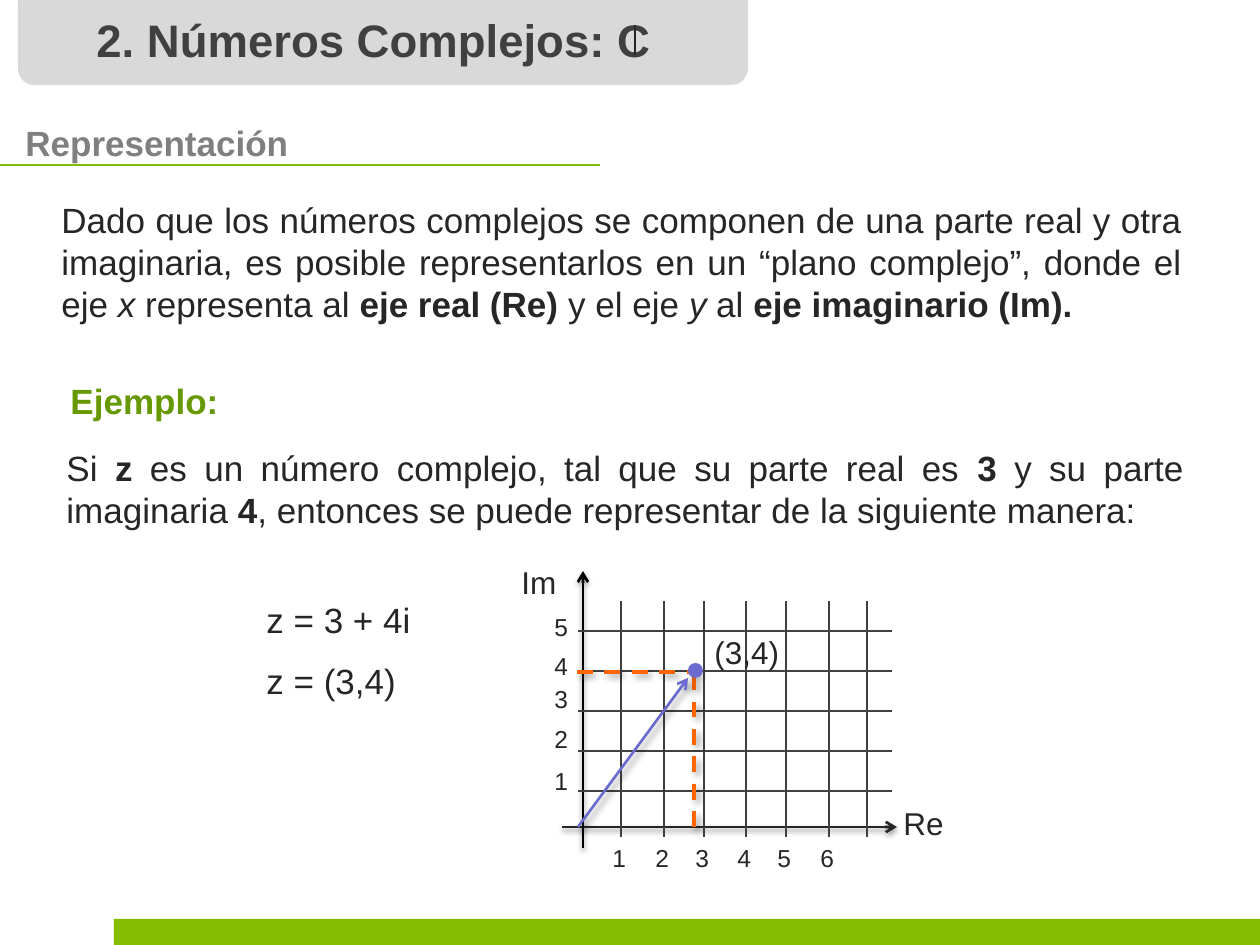
from typing import NamedTuple, Optional

from lxml.etree import SubElement
from pptx import Presentation
from pptx.dml.color import RGBColor
from pptx.enum.dml import MSO_LINE
from pptx.enum.shapes import MSO_CONNECTOR, MSO_SHAPE
from pptx.enum.text import MSO_AUTO_SIZE, PP_ALIGN
from pptx.oxml.ns import qn
from pptx.util import Emu, Pt

SCALE = 914400 / 126
FONT = "Arial"
INK, GRID, GREEN, VIOLET, ORANGE = "262626", "404040", "84BD00", "6B6BCF", "FF6600"


class Run(NamedTuple):
    text: str
    bold: bool = False
    italic: bool = False


class Label(NamedTuple):
    left: int
    top: int
    width: int
    height: int
    runs: list[Run]
    size: int = 20
    color: str = INK
    align: PP_ALIGN = PP_ALIGN.LEFT
    wrap: bool = True


class Shadow(NamedTuple):
    alpha: int
    blur: float
    dist: float
    angle: int


class Line(NamedTuple):
    x1: int
    y1: int
    x2: int
    y2: int
    color: str = GRID
    width: float = 0.75
    dash: bool = False
    arrow: bool = False
    shadow: Optional[Shadow] = None


def px(n: int) -> Emu:
    return Emu(round(n * SCALE))


def rgb(code: str) -> RGBColor:
    return RGBColor.from_string(code)


def add_block(kind: MSO_SHAPE, box: tuple[int, int, int, int], color: str) -> None:
    shape = slide.shapes.add_shape(kind, *map(px, box))
    shape.shadow.inherit = False
    shape.fill.solid()
    shape.fill.fore_color.rgb = rgb(color)
    shape.line.fill.background()


def add_label(item: Label) -> None:
    box = slide.shapes.add_textbox(*map(px, item[:4]))
    frame = box.text_frame
    frame.word_wrap = item.wrap
    frame.auto_size = MSO_AUTO_SIZE.SHAPE_TO_FIT_TEXT
    para = frame.paragraphs[0]
    para.alignment = item.align
    for part in item.runs:
        run = para.add_run()
        run.text = part.text
        font = run.font
        font.name, font.size = FONT, Pt(item.size)
        font.bold, font.italic = part.bold, part.italic
        font.color.rgb = rgb(item.color)


def add_line(item: Line) -> None:
    link = slide.shapes.add_connector(MSO_CONNECTOR.STRAIGHT, *map(px, item[:4]))
    link.line.color.rgb = rgb(item.color)
    link.line.width = Pt(item.width)
    if item.dash:
        link.line.dash_style = MSO_LINE.DASH
    props = link._element.spPr
    if item.arrow:
        SubElement(props.find(qn("a:ln")), qn("a:tailEnd"), type="arrow")
    effects = SubElement(props, qn("a:effectLst"))
    if item.shadow:
        cast = item.shadow
        outer = SubElement(
            effects, qn("a:outerShdw"), blurRad=str(Pt(cast.blur)),
            dist=str(Pt(cast.dist)), dir=str(cast.angle * 60000), rotWithShape="0")
        tint = SubElement(outer, qn("a:srgbClr"), val="000000")
        SubElement(tint, qn("a:alpha"), val=str(cast.alpha * 1000))


deck = Presentation()
deck.slide_width, deck.slide_height = px(1260), px(945)
slide = deck.slides.add_slide(deck.slide_layouts[6])

# Header, footer and prose
add_block(MSO_SHAPE.RECTANGLE, (114, 919, 1146, 26), GREEN)
add_block(MSO_SHAPE.ROUNDED_RECTANGLE, (18, -14, 730, 99), "D9D9D9")

PROSE = [
    Label(84, 6, 710, 68, [Run("2. Números Complejos: C", bold=True)], 26, GRID),
    Label(13, 115, 1074, 54, [Run("Representación", bold=True)], color="7F7F7F"),
    Label(49, 192, 1146, 140, [
        Run("Dado que los números complejos se componen de una parte real y otra "
            "imaginaria, es posible representarlos en un “plano complejo”, donde el eje "),
        Run("x", italic=True),
        Run(" representa al "),
        Run("eje real (Re)", bold=True),
        Run(" y el eje "),
        Run("y", italic=True),
        Run(" al "),
        Run("eje imaginario (Im).", bold=True),
    ], align=PP_ALIGN.JUSTIFY),
    Label(25, 373, 239, 55, [Run("Ejemplo:", bold=True)], color="669900",
          align=PP_ALIGN.CENTER),
    Label(54, 440, 1142, 97, [
        Run("Si "),
        Run("z", bold=True),
        Run(" es un número complejo, tal que su parte real es "),
        Run("3", bold=True),
        Run(" y su parte imaginaria "),
        Run("4", bold=True),
        Run(", entonces se puede representar de la siguiente manera:"),
    ], align=PP_ALIGN.JUSTIFY),
    Label(254, 592, 198, 55, [Run("z = 3 + 4i")]),
    Label(254, 653, 198, 55, [Run("z = (3,4)")]),
]
for item in PROSE:
    add_label(item)

add_line(Line(635, 25, 635, 55, INK))
add_line(Line(0, 165, 600, 165, GREEN))

# Complex plane
COLS = [621, 664, 704, 746, 786, 829, 867]
ROWS = [631 + 40 * i for i in range(5)]
TICKS = [760, 718, 678, 645, 606]
AXIS = Shadow(38, 3.1, 1.6, 90)
SOFT = Shadow(40, 4, 3, 45)

add_line(Line(562, 827, 897, 827, INK, 1.5, arrow=True, shadow=AXIS))
add_line(Line(583, 848, 583, 571, "000000", 1.5, arrow=True, shadow=AXIS))
for y in ROWS:
    add_line(Line(578, y, 892, y))
for x in COLS:
    add_line(Line(x, 601, x, 837))

spots = [(x - 21, 837) for x in COLS[:6]], [(542, y) for y in TICKS]
for axis in spots:
    for n, (left, top) in enumerate(axis, 1):
        add_label(Label(left, top, 42, 43, [Run(str(n))], 14, wrap=False))
add_label(Label(509, 557, 66, 50, [Run("Im")], 18, wrap=False))
add_label(Label(891, 798, 69, 50, [Run("Re")], 18, wrap=False))

# The number 3 + 4i
add_line(Line(694, 827, 694, 672, ORANGE, 2.25, dash=True, shadow=SOFT))
add_line(Line(577, 672, 699, 672, ORANGE, 2.25, dash=True, shadow=SOFT))
add_block(MSO_SHAPE.OVAL, (688, 663, 15, 15), VIOLET)
add_line(Line(578, 827, 688, 678, VIOLET, 1.5, arrow=True, shadow=SOFT))
add_label(Label(702, 627, 96, 50, [Run("(3,4)")], 18))

deck.save("out.pptx")
